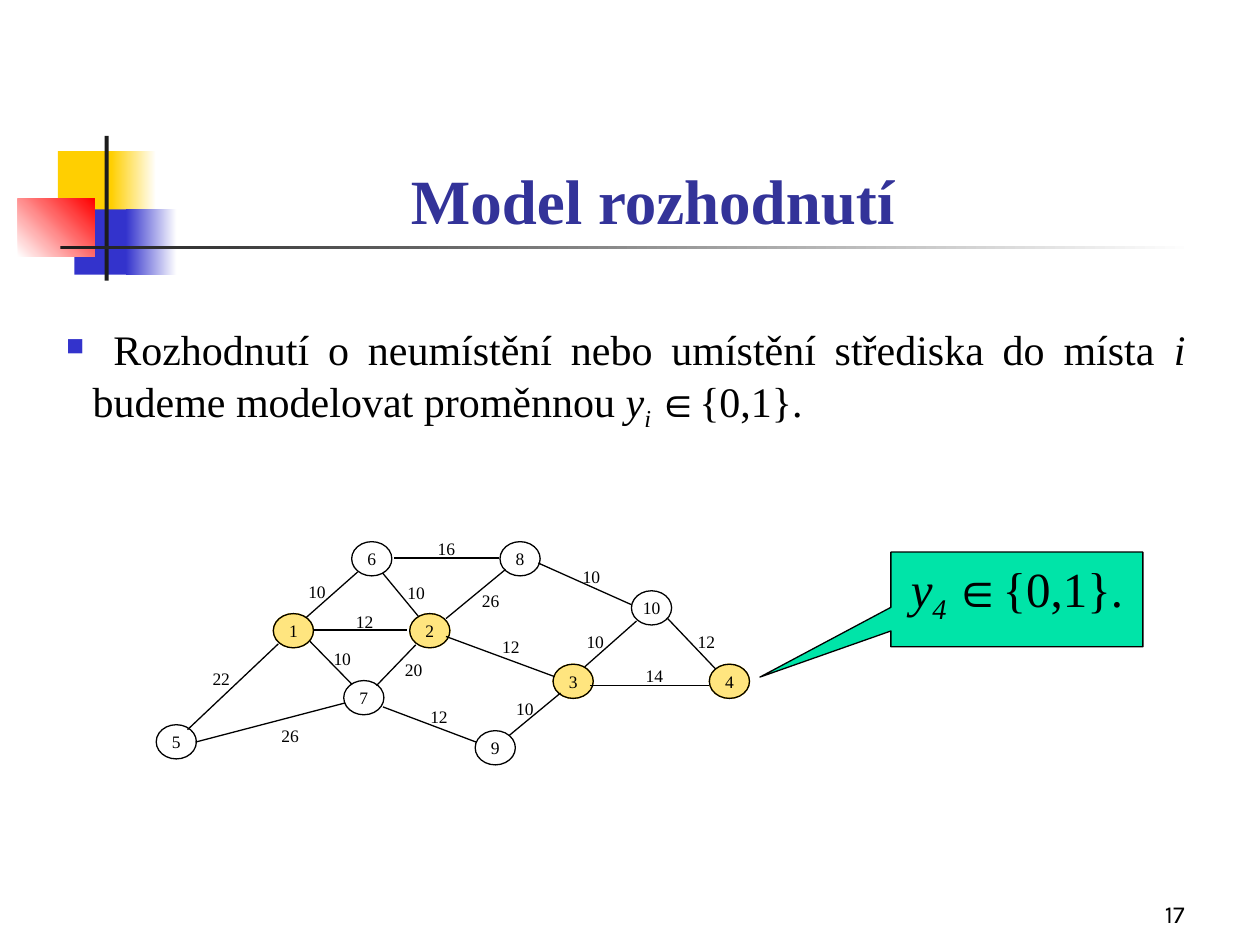
from lxml import etree
from pptx import Presentation
from pptx.dml.color import RGBColor
from pptx.enum.shapes import MSO_CONNECTOR, MSO_SHAPE
from pptx.enum.text import MSO_ANCHOR, MSO_AUTO_SIZE, PP_ALIGN
from pptx.oxml.ns import qn
from pptx.util import Cm, Pt

RECT, OVAL = MSO_SHAPE.RECTANGLE, MSO_SHAPE.OVAL
CALLOUT = MSO_SHAPE.RECTANGULAR_CALLOUT
STRAIGHT = MSO_CONNECTOR.STRAIGHT
TOP, BOTTOM = MSO_ANCHOR.TOP, MSO_ANCHOR.BOTTOM
CENTER, RIGHT, JUSTIFY = PP_ALIGN.CENTER, PP_ALIGN.RIGHT, PP_ALIGN.JUSTIFY
NO_FIT = MSO_AUTO_SIZE.NONE

SERIF, SANS, NUMBER_FONT = "Times New Roman", "Arial", "Karla"
COLORS = {
    "text": "000000", "title": "333399", "bar": "1C1C1C", "white": "FFFFFF",
    "yellow": "FFCF01", "blue": "3333CC", "red": "FF0000",
    "center": "FFCC00", "callout": "00E4A8",
}

# Decoration: left, top, width, height, colours, gradient angle
DECOR = [
    (1.17, 3.05, 1.22, 1.32, ["yellow"], 0),
    (2.24, 3.05, 0.91, 1.32, ["yellow", "white"], 0),
    (1.5, 4.22, 1.17, 1.32, ["blue"], 0),
    (2.54, 4.22, 1.02, 1.32, ["blue", "white"], 0),
    (0.36, 4.01, 1.55, 1.17, ["white", "red"], 45),
    (2.11, 2.74, 0.08, 2.92, ["bar"], 0),
    (1.22, 4.95, 22.86, 0.08, ["bar", "white"], 0),
]

# Graph nodes: left, top
NODE_W, NODE_H, LABEL_W = 0.81, 0.69, 1.04
NODES = {
    1: (5.51, 12.37), 2: (8.26, 12.37), 3: (11.15, 13.39), 4: (14.3, 13.39),
    5: (3.15, 14.61), 6: (7.09, 10.92), 7: (6.93, 13.72), 8: (10.08, 10.92),
    9: (9.58, 14.73), 10: (12.73, 11.91),
}
CENTERS = [4, 1, 2, 3]

# Graph edges: start, end, length, left and top of the length label
EDGES = [
    ((3.78, 14.71), (5.61, 12.98), 22, (3.94, 13.34)),
    ((3.94, 14.96), (6.96, 14.17), 26, (5.33, 14.5)),
    ((6.25, 12.93), (7.09, 13.79), 10, (6.38, 12.93)),
    ((6.17, 12.45), (7.21, 11.53), 10, (5.87, 11.58)),
    ((6.32, 12.7), (8.2, 12.7), 12, (6.83, 12.19)),
    ((8.99, 12.83), (11.18, 13.64), 12, (9.78, 12.7)),
    ((11.89, 13.82), (14.3, 13.82), 14, (12.67, 13.28)),
    ((7.59, 13.82), (8.38, 13.0), 20, (7.82, 13.16)),
    ((7.72, 14.25), (9.6, 14.96), 12, (8.33, 14.1)),
    ((10.26, 14.83), (11.3, 13.97), 10, (10.06, 13.94)),
    ((7.95, 11.25), (10.06, 11.25), 16, (8.48, 10.72)),
    ((7.72, 11.56), (8.43, 12.42), 10, (7.87, 11.61)),
    ((8.99, 12.47), (10.19, 11.48), 26, (9.37, 11.76)),
    ((10.85, 11.35), (12.73, 12.19), 10, (11.4, 11.28)),
    ((11.79, 13.44), (12.83, 12.52), 10, (11.48, 12.6)),
    ((13.46, 12.47), (14.43, 13.49), 12, (13.72, 12.6)),
]


def rgb(name):
    return RGBColor.from_string(COLORS[name])


def binary_variable(index, size):
    """Runs of 'variable with an index is 0 or 1': text, size, font, italic, baseline."""
    return [("y", size, SERIF, True, 0), (f"{index} ", size, SERIF, True, -25),
            ("∈", size, SANS, True, 0), ("{0,1}.", size, SERIF, False, 0)]


class SlideBuilder:
    def __init__(self, slide):
        self.slide = slide
        self.shapes = slide.shapes

    def style(self, r, size, font=SERIF, color="text", bold=False, italic=False):
        r.font.size, r.font.name = Pt(size), font
        r.font.bold, r.font.italic = bold, italic
        r.font.color.rgb = rgb(color)

    def runs(self, p, parts):
        for text, size, font, italic, baseline in parts:
            r = p.add_run()
            r.text = text
            self.style(r, size, font, italic=italic)
            if baseline:
                r.font._element.set("baseline", str(baseline * 1000))

    def title(self, text, x, y, w, h):
        s = self.shapes.title
        s.left, s.top, s.width, s.height = Cm(x), Cm(y), Cm(w), Cm(h)
        tf = s.text_frame
        tf.text = text
        tf.auto_size, tf.vertical_anchor = NO_FIT, BOTTOM
        tf.paragraphs[0].alignment = CENTER
        self.style(tf.paragraphs[0].runs[0], 36, color="title", bold=True)

    def text(self, text, x, y, w, h, size=10, font=SERIF, align=CENTER, anchor=TOP):
        s = self.shapes.add_textbox(Cm(x), Cm(y), Cm(w), Cm(h))
        tf = s.text_frame
        tf.word_wrap, tf.vertical_anchor = True, anchor
        p = tf.paragraphs[0]
        p.text, p.alignment = text, align
        for r in p.runs:
            self.style(r, size, font)
        return p

    def bullet(self, p, indent):
        pPr = p._p.get_or_add_pPr()
        pPr.set("marL", str(Cm(indent)))
        pPr.set("indent", str(-Cm(indent)))
        color = etree.SubElement(pPr, qn("a:buClr"))
        etree.SubElement(color, qn("a:srgbClr"), val=COLORS["blue"])
        etree.SubElement(pPr, qn("a:buSzPct"), val="60000")
        etree.SubElement(pPr, qn("a:buFont"), typeface=SANS)
        etree.SubElement(pPr, qn("a:buChar"), char="■")

    def shape(self, kind, x, y, w, h, fill=(), line=None, angle=0, alpha=None):
        s = self.shapes.add_shape(kind, Cm(x), Cm(y), Cm(w), Cm(h))
        s.shadow.inherit = False
        if len(fill) == 2:
            s.fill.gradient()
            s.fill.gradient_angle = angle
            for stop, name in zip(s.fill.gradient_stops, fill):
                stop.color.rgb = rgb(name)
        elif fill:
            s.fill.solid()
            s.fill.fore_color.rgb = rgb(fill[0])
        else:
            s.fill.background()
        if alpha:
            color = s._element.spPr.find(qn("a:solidFill"))[0]
            etree.SubElement(color, qn("a:alpha"), val=str(alpha * 1000))
        if line:
            s.line.color.rgb = rgb(line)
            s.line.width = Pt(0.75)
        else:
            s.line.fill.background()
        return s

    def edge(self, start, end):
        c = self.shapes.add_connector(STRAIGHT, *map(Cm, start + end))
        c.line.color.rgb = rgb("text")
        c.line.width = Pt(0.75)
        etree.SubElement(c._element.spPr, qn("a:effectLst"))


def main():
    prs = Presentation()
    prs.slide_width, prs.slide_height = Cm(25.4), Cm(19.05)
    b = SlideBuilder(prs.slides.add_slide(prs.slide_layouts[5]))

    # Decoration, slide number and title
    for x, y, w, h, fill, angle in DECOR:
        b.shape(RECT, x, y, w, h, fill, angle=angle)
    b.text("17", 18.85, 17.58, 5.28, 1.27, 14, NUMBER_FONT, RIGHT, BOTTOM)
    b.title("Model rozhodnutí", 2.34, 1.07, 21.64, 3.84)

    # Statement
    p = b.text("", 1.09, 6.25, 23.06, 2.97, align=JUSTIFY)
    b.bullet(p, 0.53)
    b.runs(p, [
        (" ", 28, SERIF, False, 0),
        ("Rozhodnutí o neumístění nebo umístění střediska do místa ", 24, SERIF, False, 0),
        ("i", 24, SERIF, True, 0),
        (" budeme modelovat proměnnou ", 24, SERIF, False, 0),
    ] + binary_variable("i", 24))

    # Graph: highlighted centers, nodes, edges, lengths
    for node in CENTERS:
        b.shape(OVAL, *NODES[node], NODE_W, NODE_H, ["center"], "center", alpha=50)
    for node, (x, y) in NODES.items():
        b.shape(OVAL, x, y, NODE_W, NODE_H, line="text")
        b.text(str(node), x - 0.05, y + 0.01, NODE_W + 0.1, NODE_H)
    for start, end, _, _ in EDGES:
        b.edge(start, end)
    for _, _, length, place in EDGES:
        b.text(str(length), *place, LABEL_W, NODE_H)

    # Callout pointing at node 4
    s = b.shape(CALLOUT, 17.96, 11.13, 5.08, 1.91, ["callout"], "text")
    s.adjustments[0], s.adjustments[1] = -1.02, 0.82
    tf = s.text_frame
    tf.word_wrap, tf.vertical_anchor = True, TOP
    tf.paragraphs[0].alignment = CENTER
    b.runs(tf.paragraphs[0], binary_variable(4, 28))

    prs.save("out.pptx")


if __name__ == "__main__":
    main()
